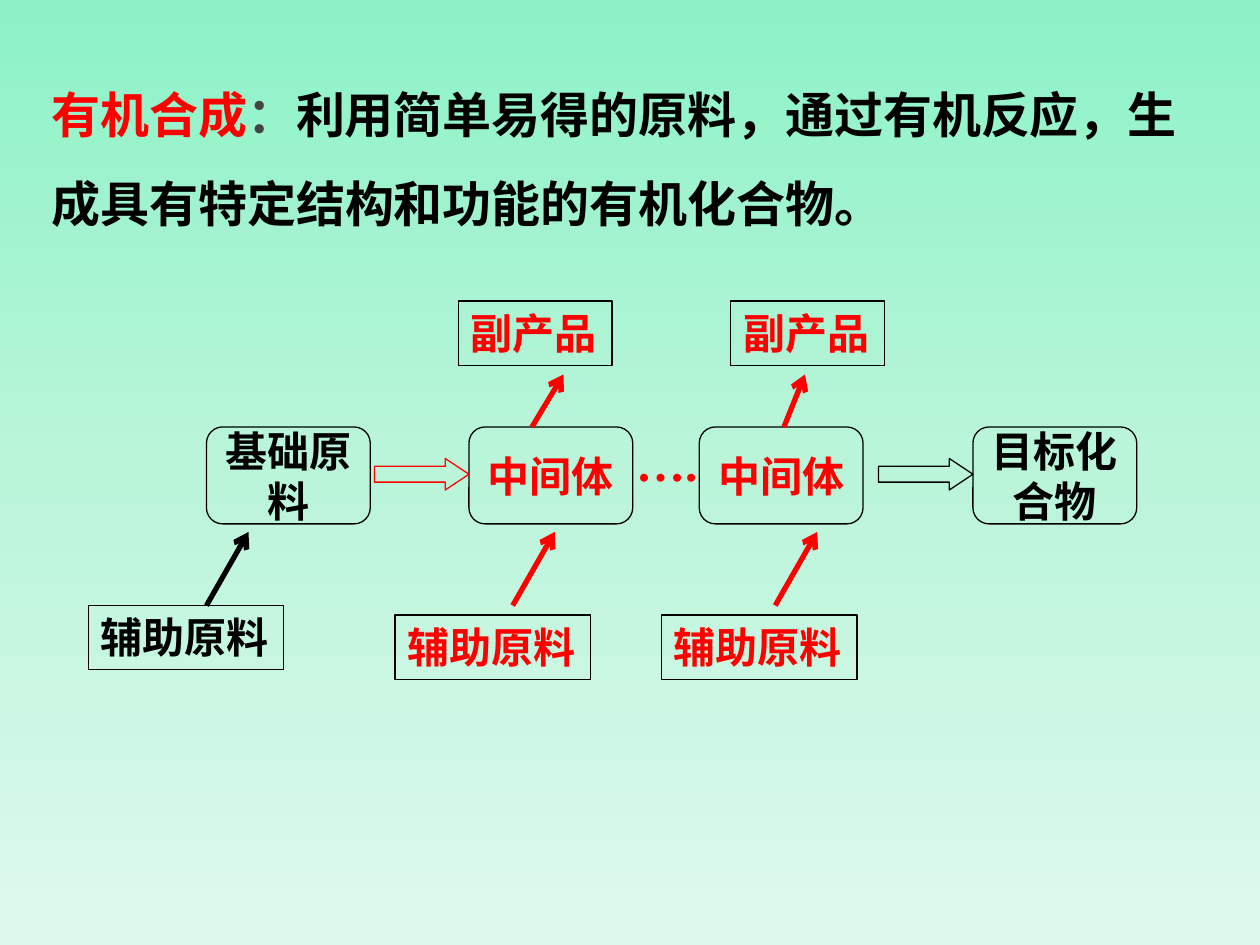
from copy import deepcopy

from lxml.etree import SubElement
from pptx import Presentation
from pptx.dml.color import RGBColor
from pptx.enum.shapes import MSO_CONNECTOR as CONN, MSO_SHAPE as SHAPE
from pptx.enum.text import MSO_ANCHOR as ANCHOR, MSO_AUTO_SIZE as AUTO, PP_ALIGN as ALIGN
from pptx.oxml.ns import qn
from pptx.util import Pt

BLACK = RGBColor(0x00, 0x00, 0x00)
RED = RGBColor(0xFF, 0x00, 0x00)
GRAY = RGBColor(0x44, 0x44, 0x44)
GRADIENT = [
    (0, RGBColor(0x8C, 0xF2, 0xC6)),
    (0.5, RGBColor(0xBA, 0xF5, 0xDA)),
    (1, RGBColor(0xDE, 0xF9, 0xEC)),
]
LATIN = "Times New Roman"
CJK = "Noto Sans CJK SC"


def add_run(p, text, size=24, color=BLACK, font=LATIN, east_asian=None):
    r = p.add_run()
    r.text = text
    r.font.size = Pt(size)
    r.font.bold = True
    r.font.name = font
    r.font.color.rgb = color
    if east_asian:
        SubElement(r.font._element, qn("a:ea"), typeface=east_asian)


class Diagram:
    node_top, node_w, node_h = 244, 93.6, 55.4
    label_h = 36.8
    line_w = 0.75
    link_w = 3

    def __init__(self, slide):
        self.s = slide

    def background(self, stops):
        fill = self.s.background.fill
        fill.gradient()
        fill.gradient_angle = 270
        gs_list = self.s.element.find(".//" + qn("a:gsLst"))
        gs_list.append(deepcopy(gs_list[0]))
        for stop, (position, color) in zip(fill.gradient_stops, stops):
            stop.position = position
            stop.color.rgb = color

    def outline(self, kind, x, y, w, h, line=BLACK):
        sp = self.s.shapes.add_shape(kind, Pt(x), Pt(y), Pt(w), Pt(h))
        sp.shadow.inherit = False
        sp.fill.background()
        sp.line.color.rgb = line
        sp.line.width = Pt(self.line_w)
        return sp

    def node(self, x, text, color):
        sp = self.outline(SHAPE.ROUNDED_RECTANGLE, x, self.node_top, self.node_w, self.node_h)
        tf = sp.text_frame
        tf.word_wrap = True
        tf.vertical_anchor = ANCHOR.MIDDLE
        p = tf.paragraphs[0]
        p.alignment = ALIGN.CENTER
        add_run(p, text, color=color)

    def label(self, x, y, w, text, color):
        tf = self.outline(SHAPE.RECTANGLE, x, y, w, self.label_h).text_frame
        tf.word_wrap = False
        tf.auto_size = AUTO.SHAPE_TO_FIT_TEXT
        tf.vertical_anchor = ANCHOR.TOP
        p = tf.paragraphs[0]
        p.alignment = ALIGN.LEFT
        add_run(p, text, color=color)

    def block_arrow(self, x, color):
        sp = self.outline(SHAPE.RIGHT_ARROW, x, 262, 54, 18, color)
        sp.adjustments[0] = 0.5
        sp.adjustments[1] = 0.75

    def link(self, x1, y1, x2, y2, color):
        c = self.s.shapes.add_connector(CONN.STRAIGHT, Pt(x1), Pt(y1), Pt(x2), Pt(y2))
        c.line.color.rgb = color
        c.line.width = Pt(self.link_w)
        SubElement(c.line._get_or_add_ln(), qn("a:tailEnd"), type="arrow")
        SubElement(c._element.spPr, qn("a:effectLst"))

    def text(self, x, y, w, h, runs, wrap=True, spacing=None):
        tf = self.s.shapes.add_textbox(Pt(x), Pt(y), Pt(w), Pt(h)).text_frame
        tf.word_wrap = wrap
        tf.auto_size = AUTO.SHAPE_TO_FIT_TEXT
        p = tf.paragraphs[0]
        p.line_spacing = spacing
        for text, style in runs:
            add_run(p, text, size=28, **style)


def main():
    prs = Presentation()
    prs.slide_width, prs.slide_height = Pt(720), Pt(540)
    d = Diagram(prs.slides.add_slide(prs.slide_layouts[6]))
    d.background(GRADIENT)

    d.text(22.3, 28.1, 675.4, 108.7, [
        ("有机合成", dict(color=RED, font=CJK, east_asian=CJK)),
        ("：", dict(color=GRAY, font="Calibri", east_asian=CJK)),
        ("利用简单易得的原料，通过有机反应，生成具有特定结构和功能的有机化合物。",
         dict(font="Calibri", east_asian=CJK)),
    ], spacing=1.5)

    for x, text, color in [
        (118, "基础原料", BLACK),
        (268, "中间体", RED),
        (399.6, "中间体", RED),
        (556, "目标化合物", BLACK),
    ]:
        d.node(x, text, color)
    d.block_arrow(214, RED)
    d.block_arrow(502, BLACK)
    d.text(356.4, 243.4, 49.7, 41, [("….", dict(color=RED))], wrap=False)

    for x, y, link_x, color in [
        (50.4, 346, 118, BLACK),
        (225.8, 351.4, 293, RED),
        (378, 351.4, 443, RED),
    ]:
        d.label(x, y, 111.8, "辅助原料", color)
        d.link(link_x, 346, link_x + 24, 304, color)

    for x, link_x, tip_x in [(262, 304, 322), (417.6, 448, 460)]:
        d.label(x, 172, 87.8, "副产品", RED)
        d.link(link_x, d.node_top, tip_x, 214, RED)

    prs.save("out.pptx")


if __name__ == "__main__":
    main()
